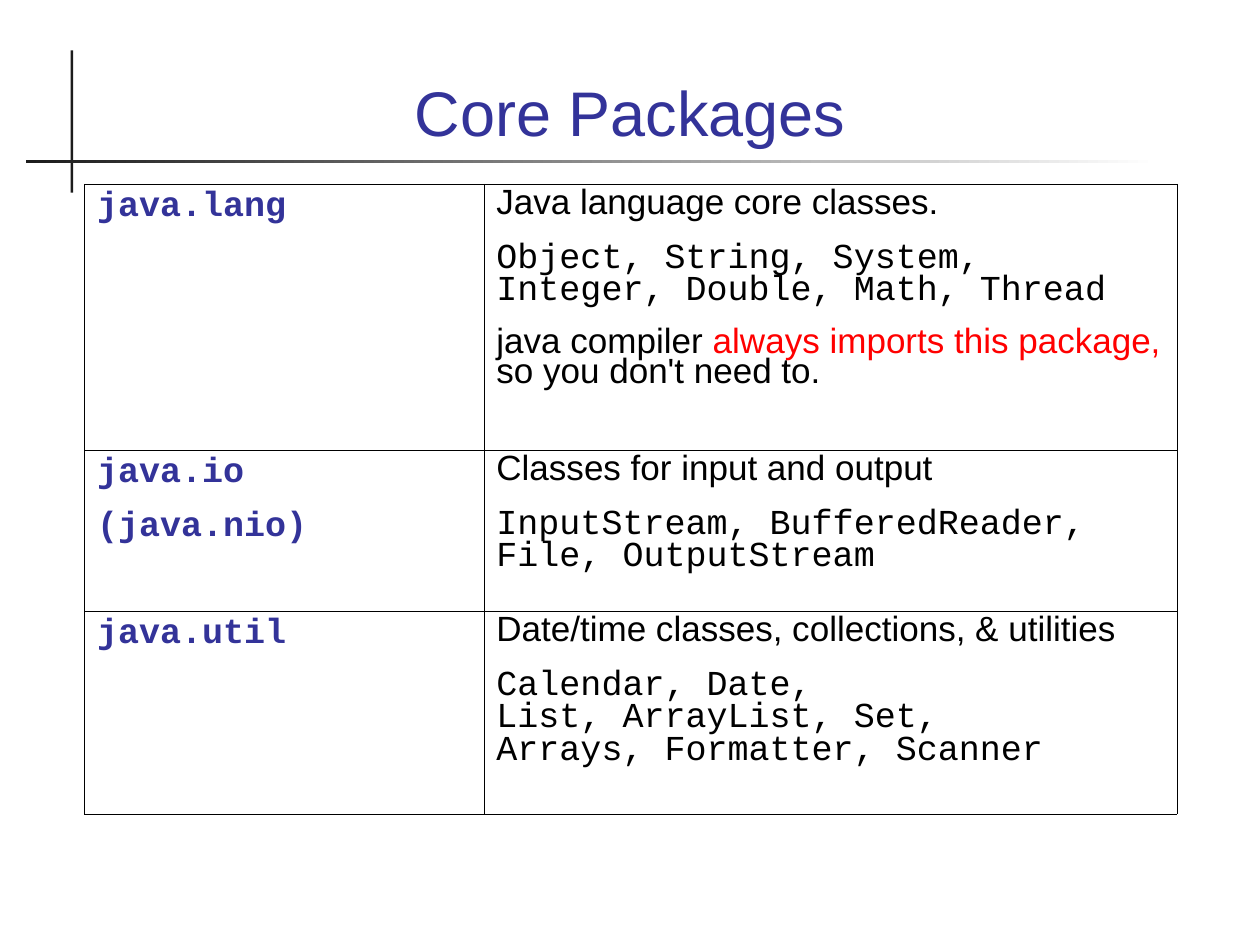
from dataclasses import dataclass

from lxml import etree
from pptx import Presentation
from pptx.dml.color import RGBColor
from pptx.enum.shapes import MSO_SHAPE
from pptx.enum.text import MSO_ANCHOR, PP_ALIGN
from pptx.oxml.ns import qn
from pptx.util import Inches, Pt

RECTANGLE = MSO_SHAPE.RECTANGLE
BOTTOM = MSO_ANCHOR.BOTTOM
CENTER = PP_ALIGN.CENTER

INDIGO = RGBColor(0x33, 0x33, 0x99)
CHARCOAL = RGBColor(0x1C, 0x1C, 0x1C)
BLACK = RGBColor(0, 0, 0)
RED = RGBColor(0xFF, 0, 0)
WHITE = RGBColor(0xFF, 0xFF, 0xFF)

SANS = "Arial"
MONO = "Courier New"
LINE_SPACING = {SANS: 0.77, MONO: 0.82}

# The page is a grid of 100 columns by 75 rows
UNIT = Inches(0.1)
COLUMNS, ROWS = 100, 75
LEFT_MARGIN = 6.7
CONTENT_WIDTH = COLUMNS - 2 * LEFT_MARGIN
TABLE_TOP = 14.6
TABLE_COLUMNS = (31.7, 55)
BORDER_WIDTH = Pt(0.06)


@dataclass
class Span:
    text: str
    font: str = SANS
    color: RGBColor = BLACK
    bold: bool = False


@dataclass
class PackageRow:
    height: float
    names: list[str]
    description: list[list[Span]]


PACKAGES = [
    PackageRow(21.1, ["java.lang"], [
        [Span("Java language core classes.")],
        [Span("Object, String, System, Integer, Double, Math, Thread", MONO)],
        [Span("java compiler "),
         Span("always imports this package,", color=RED),
         Span(" so you don't need to.")],
    ]),
    PackageRow(12.8, ["java.io", "(java.nio)"], [
        [Span("Classes for input and output")],
        [Span("InputStream, BufferedReader, File, OutputStream", MONO)],
    ]),
    PackageRow(16.1, ["java.util"], [
        [Span("Date/time classes, collections, & utilities")],
        [Span("Calendar, Date,\nList, ArrayList, Set, \nArrays, Formatter, Scanner", MONO)],
    ]),
]


def grid(count: float) -> int:
    """Turn a number of grid units into a length."""
    return round(count * UNIT)


def add_text(para, text: str, *, font: str, size: float,
             color: RGBColor, bold: bool = False) -> None:
    for index, line in enumerate(text.split("\n")):
        if index:
            para.add_line_break()
        run = para.add_run()
        run.text = line
        run.font.name = font
        run.font.size = Pt(size)
        run.font.color.rgb = color
        run.font.bold = bold


def add_bar(page, left: float, top: float, width: float, height: float):
    bar = page.shapes.add_shape(RECTANGLE, *map(grid, (left, top, width, height)))
    bar.shadow.inherit = False
    bar.line.fill.background()
    bar.fill.solid()
    bar.fill.fore_color.rgb = CHARCOAL
    return bar


def fade_right(bar) -> None:
    bar.fill.gradient()
    bar.fill.gradient_angle = 180
    for stop, position, color in zip(bar.fill.gradient_stops, (0, 1), (WHITE, CHARCOAL)):
        stop.position = position
        stop.color.rgb = color


def add_title(page, text: str) -> None:
    box = page.shapes.add_textbox(*map(grid, (LEFT_MARGIN, 2.8, CONTENT_WIDTH, 9.5)))
    frame = box.text_frame
    frame.word_wrap = True
    frame.vertical_anchor = BOTTOM
    para = frame.paragraphs[0]
    para.alignment = CENTER
    add_text(para, text, font=SANS, size=36, color=INDIGO)


def set_borders(cell) -> None:
    properties = cell._tc.get_or_add_tcPr()
    for position, side in enumerate(("a:lnL", "a:lnR", "a:lnT", "a:lnB")):
        line = etree.Element(qn(side), w=str(BORDER_WIDTH))
        fill = etree.SubElement(line, qn("a:solidFill"))
        etree.SubElement(fill, qn("a:srgbClr"), val=str(BLACK))
        properties.insert(position, line)


def fill_cell(cell, paragraphs: list[list[Span]]) -> None:
    cell.fill.background()
    set_borders(cell)
    frame = cell.text_frame
    for index, spans in enumerate(paragraphs):
        para = frame.add_paragraph() if index else frame.paragraphs[0]
        para.line_spacing = LINE_SPACING[spans[0].font]
        para.space_before = Pt(12.5 if index else 0)
        for span in spans:
            add_text(para, span.text, font=span.font, size=20,
                     color=span.color, bold=span.bold)


def add_package_table(page, packages: list[PackageRow]) -> None:
    height = sum(package.height for package in packages)
    table = page.shapes.add_table(
        len(packages), len(TABLE_COLUMNS),
        *map(grid, (LEFT_MARGIN, TABLE_TOP, sum(TABLE_COLUMNS), height))).table
    table.first_row = False
    table.horz_banding = False
    for column, width in zip(table.columns, TABLE_COLUMNS):
        column.width = grid(width)
    for index, package in enumerate(packages):
        table.rows[index].height = grid(package.height)
        names = [[Span(name, MONO, INDIGO, True)] for name in package.names]
        fill_cell(table.cell(index, 0), names)
        fill_cell(table.cell(index, 1), package.description)


def main() -> None:
    deck = Presentation()
    deck.slide_width, deck.slide_height = grid(COLUMNS), grid(ROWS)
    page = deck.slides.add_slide(deck.slide_layouts[6])

    # Crossed rules beside and below the title
    add_bar(page, 5.6, 4, 0.2, 11.3)
    fade_right(add_bar(page, 2.1, 12.7, 89.8, 0.2))

    # Title and table
    add_title(page, "Core Packages")
    add_package_table(page, PACKAGES)
    deck.save("out.pptx")


if __name__ == "__main__":
    main()
